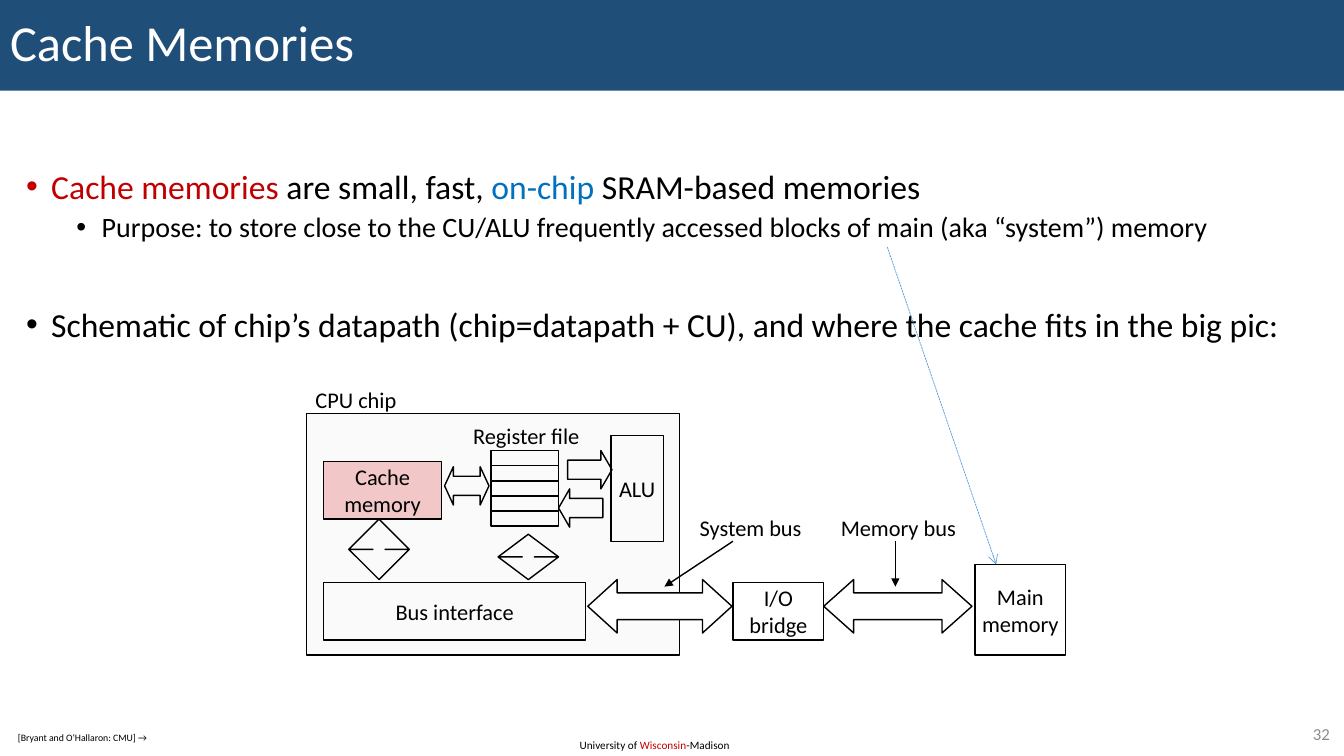
from dataclasses import dataclass
from typing import Optional

from lxml import etree
from pptx import Presentation
from pptx.dml.color import RGBColor
from pptx.enum.dml import MSO_LINE
from pptx.enum.shapes import MSO_CONNECTOR, MSO_SHAPE as Shape
from pptx.enum.text import MSO_ANCHOR as Anchor, MSO_AUTO_SIZE as AutoSize, PP_ALIGN as Align
from pptx.oxml.ns import qn
from pptx.util import Pt

EMU_PER_PX = 9144  # 100 px to the inch
FONT = "Calibri"

BLACK = RGBColor(0x00, 0x00, 0x00)
WHITE = RGBColor(0xFF, 0xFF, 0xFF)
NAVY = RGBColor(0x1F, 0x4E, 0x79)
RED = RGBColor(0xC0, 0x00, 0x00)
BLUE = RGBColor(0x00, 0x70, 0xC0)
SKY = RGBColor(0x5B, 0x9B, 0xD5)
GRAY = RGBColor(0x8C, 0x8C, 0x8C)
CHIP = RGBColor(0xFA, 0xFA, 0xFA)
PINK = RGBColor(0xF1, 0xC7, 0xC7)

Rect = tuple[int, int, int, int]
Runs = list[tuple[str, RGBColor]]


@dataclass
class Block:
    at: Rect
    lines: tuple[str, ...] = ()
    fill: Optional[RGBColor] = None
    kind: Shape = Shape.RECTANGLE
    head: Optional[float] = None


@dataclass
class Label:
    at: Rect
    runs: Runs
    size: int
    align: Align = Align.LEFT
    anchor: Anchor = Anchor.TOP
    wrap: bool = True
    fill: Optional[RGBColor] = None


@dataclass
class Pointer:
    ends: Rect
    color: RGBColor = BLACK
    width: float = 1
    head: str = "triangle"
    dash: Optional[MSO_LINE] = None


@dataclass
class Bullet:
    runs: Runs
    size: int
    left: int
    before: int


def px(*values: int) -> list[int]:
    return [v * EMU_PER_PX for v in values]


def add_runs(p, runs: Runs, size: int) -> None:
    for text, color in runs:
        r = p.add_run()
        r.text = text
        for name, value in {"name": FONT, "size": Pt(size)}.items():
            setattr(r.font, name, value)
        r.font.color.rgb = color


def add_block(s, block: Block) -> None:
    sp = s.shapes.add_shape(block.kind, *px(*block.at))
    sp.shadow.inherit = False
    if block.fill is None:
        sp.fill.background()
    else:
        sp.fill.solid()
        sp.fill.fore_color.rgb = block.fill
    sp.line.color.rgb = BLACK
    sp.line.width = Pt(1)
    if block.head is not None:
        sp.adjustments[0] = 0.5
        sp.adjustments[1] = block.head
    tf = sp.text_frame
    tf.word_wrap = False
    tf.vertical_anchor = Anchor.MIDDLE
    for i, line in enumerate(block.lines):
        p = tf.add_paragraph() if i else tf.paragraphs[0]
        p.alignment = Align.CENTER
        add_runs(p, [(line, BLACK)], 16)


def add_label(s, label: Label) -> None:
    sp = s.shapes.add_textbox(*px(*label.at))
    if label.fill is not None:
        sp.fill.solid()
        sp.fill.fore_color.rgb = label.fill
    tf = sp.text_frame
    tf.word_wrap = label.wrap
    tf.vertical_anchor = label.anchor
    p = tf.paragraphs[0]
    p.alignment = label.align
    add_runs(p, label.runs, label.size)


def add_pointer(s, pointer: Pointer) -> None:
    line = s.shapes.add_connector(MSO_CONNECTOR.STRAIGHT, *px(*pointer.ends))
    line.line.color.rgb = pointer.color
    line.line.width = Pt(pointer.width)
    if pointer.dash is not None:
        line.line.dash_style = pointer.dash
    sp_pr = line._element.spPr
    etree.SubElement(sp_pr.find(qn("a:ln")), qn("a:tailEnd"), type=pointer.head)
    etree.SubElement(sp_pr, qn("a:effectLst"))


def add_bullets(s, at: Rect, bullets: list[Bullet]) -> None:
    tf = s.shapes.add_textbox(*px(*at)).text_frame
    tf.word_wrap = True
    for i, bullet in enumerate(bullets):
        p = tf.add_paragraph() if i else tf.paragraphs[0]
        p_pr = p._p.get_or_add_pPr()
        margin, indent = px(bullet.left, -25)
        p_pr.set("marL", str(margin))
        p_pr.set("indent", str(indent))
        etree.SubElement(p_pr, qn("a:buFont"), typeface="Arial")
        etree.SubElement(p_pr, qn("a:buChar"), char="•")
        p.line_spacing = 0.9
        p.space_before = Pt(bullet.before)
        add_runs(p, bullet.runs, bullet.size)


def set_title(s, text: str) -> None:
    title = s.shapes.title
    for name, value in zip(("left", "top", "width", "height"), px(0, 0, 1333, 90)):
        setattr(title, name, value)
    title.fill.solid()
    title.fill.fore_color.rgb = NAVY
    tf = title.text_frame
    for name, value in {"auto_size": AutoSize.NONE, "word_wrap": True,
                        "vertical_anchor": Anchor.MIDDLE}.items():
        setattr(tf, name, value)
    p = tf.paragraphs[0]
    p.alignment = Align.LEFT
    p.line_spacing = 0.9
    add_runs(p, [(text, WHITE)], 36)


BULLETS = [
    Bullet([("Cache memories ", RED), ("are small, fast, ", BLACK), ("on-chip", BLUE),
            (" SRAM-based memories", BLACK)], 24, 25, 0),
    Bullet([("Purpose: to store close to the CU/ALU frequently accessed blocks of "
             "main (aka “system”) memory", BLACK)], 20, 75, 5),
    Bullet([("Schematic of chip’s datapath (chip=datapath + CU), and where the cache "
             "fits in the big pic:", BLACK)], 24, 25, 46),
]

REGISTERS = [Block((487, 447 + 15 * i, 67, 15)) for i in range(5)]

BLOCKS = [
    Block((304, 410, 370, 240), fill=CHIP),
    Block((967, 560, 90, 90), ("Main", "memory")),
    Block((817, 575, 147, 53), kind=Shape.LEFT_RIGHT_ARROW, head=0.56),
    Block((727, 578, 90, 57), ("I/O", "bridge")),
    Block((321, 578, 260, 57), ("Bus interface",)),
    *REGISTERS,
    Block((563, 447, 44, 38), kind=Shape.RIGHT_ARROW, head=0.29),
    Block((554, 485, 44, 38), kind=Shape.LEFT_ARROW, head=0.29),
    Block((606, 432, 52, 105), ("ALU",)),
    Block((494, 530, 60, 45), kind=Shape.UP_DOWN_ARROW, head=0.2),
    Block((321, 458, 117, 57), ("Cache", "memory"), PINK),
    Block((346, 515, 60, 60), kind=Shape.UP_DOWN_ARROW, head=0.2),
    Block((441, 463, 44, 38), kind=Shape.LEFT_RIGHT_ARROW, head=0.23),
    Block((583, 575, 143, 53), fill=WHITE, kind=Shape.LEFT_RIGHT_ARROW, head=0.55),
]

CAPTIONS = {
    "CPU chip": (302, 378, 102, 37),
    "Register file": (457, 414, 130, 37),
    "System bus": (682, 505, 125, 37),
    "Memory bus": (822, 505, 138, 37),
}

LABELS = [
    *(Label(at, [(text, BLACK)], 16, Align.CENTER, Anchor.MIDDLE, wrap=False)
      for text, at in CAPTIONS.items()),
    Label((565, 728, 172, 24),
          [("University of ", BLACK), ("Wisconsin", RED), ("-Madison", BLACK)], 8),
    Label((1253, 713, 76, 29), [("32", GRAY)], 12, Align.RIGHT, Anchor.MIDDLE),
    Label((8, 721, 150, 22), [("[Bryant and O‘Hallaron: CMU] →", BLACK)], 7, fill=WHITE),
]

POINTERS = [
    Pointer((727, 537, 659, 582)),
    Pointer((888, 537, 888, 582)),
    Pointer((880, 245, 988, 560), SKY, 0.5, "arrow", MSO_LINE.SQUARE_DOT),
]


def main() -> None:
    prs = Presentation()
    prs.slide_width, prs.slide_height = px(1333, 750)
    s = prs.slides.add_slide(prs.slide_layouts[5])
    set_title(s, "Cache Memories")
    add_bullets(s, (16, 164, 1308, 539), BULLETS)
    for block in BLOCKS:
        add_block(s, block)
    for label in LABELS:
        add_label(s, label)
    for pointer in POINTERS:
        add_pointer(s, pointer)
    prs.save("out.pptx")


if __name__ == "__main__":
    main()
